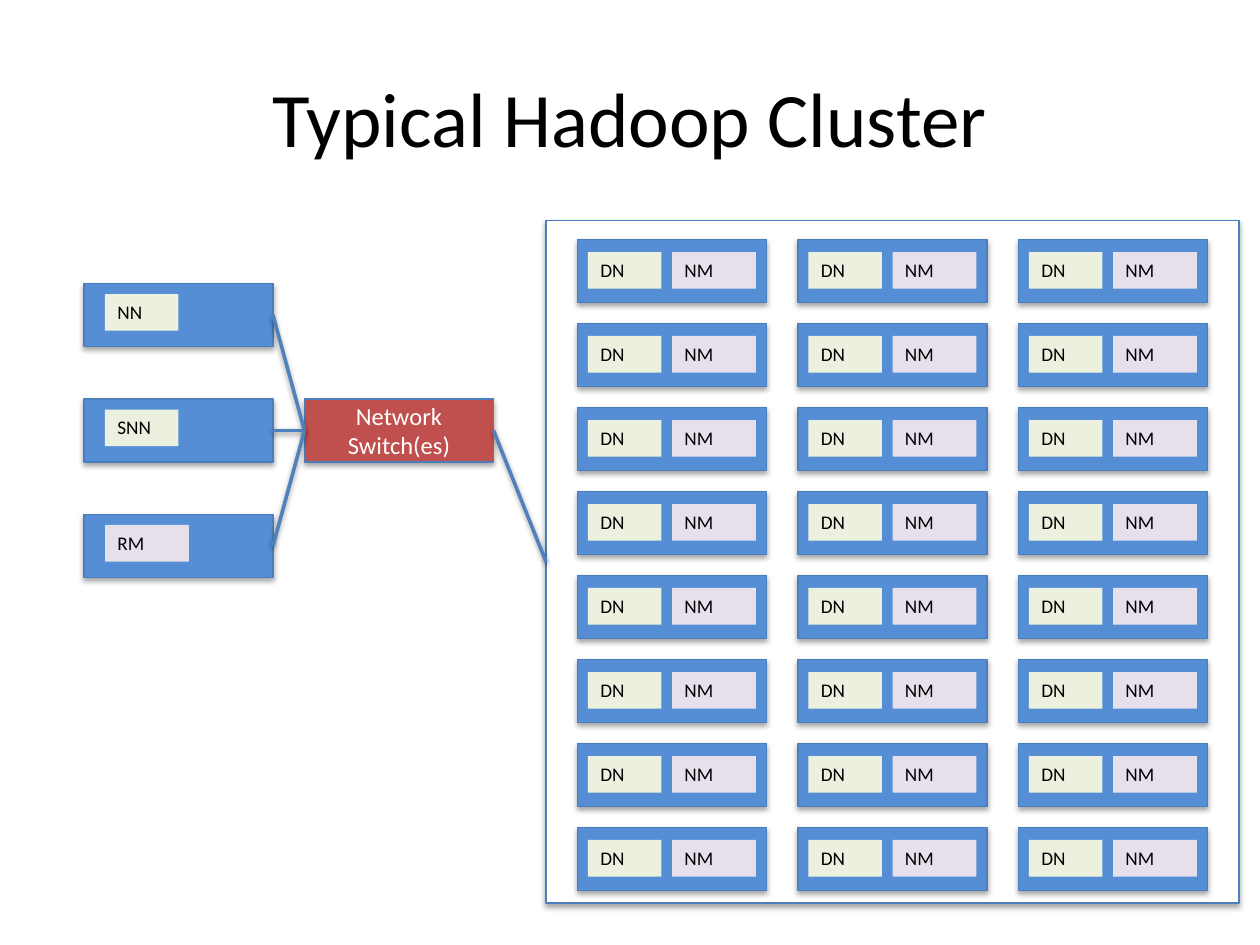
import pptx
import pptx.dml.color
import pptx.enum.shapes
import pptx.enum.text
import pptx.oxml
import pptx.oxml.ns
import pptx.util

Pt = pptx.util.Pt
ALIGN = pptx.enum.text.PP_ALIGN
ANCHOR = pptx.enum.text.MSO_ANCHOR

# Content
TITLE = "Typical Hadoop Cluster"
SWITCH = "Network Switch(es)"
MASTERS = [("NN", "storage"), ("SNN", "storage"), ("RM", "compute")]
WORKER_TAGS = [("DN", "storage", 6), ("NM", "compute", 54)]  # label, kind, offset
WORKER_ROWS, WORKER_COLUMNS = 8, 3

THEME = {
    "font": "Calibri", "title_size": 44, "switch_size": 14, "tag_size": 11,
    "text": "000000", "switch_text": "FFFFFF",
    "server": "558ED5", "switch": "C0504D", "rack": "FFFFFF",
    "storage": "EBF1DE", "compute": "E6E0EC",
    "outline": "4B7EBC", "link": "4F81BD",
    "outline_width": 0.75, "link_width": 2,
}

# Layout in points
TITLE_BOX = (36, 21.6, 648, 90)
RACK_BOX = (312, 126, 396, 390)
SERVER_SIZE = (108, 36)
MASTER_LEFT, MASTER_TOP, MASTER_STEP = 48, 162, 66
SWITCH_LEFT = 174
WORKER_LEFT, WORKER_TOP = 330, 136.8
WORKER_STEP_X, WORKER_STEP_Y = 126, 48
TAG_WIDTH = {"storage": 42, "compute": 48}
TAG_HEIGHT = 21
MASTER_TAG_OFFSET = (12, 6)
WORKER_TAG_TOP = 7.2
LEFT_SITE, RIGHT_SITE = 1, 3


def color(name):
    return pptx.dml.color.RGBColor.from_string(THEME[name])


def add_shadow(shape, distance, opacity):
    """Soft black shadow straight below; distance in EMU, opacity in percent."""
    properties = shape._element.spPr
    for effects in properties.findall(pptx.oxml.ns.qn("a:effectLst")):
        properties.remove(effects)
    properties.append(pptx.oxml.parse_xml(
        f'<a:effectLst {pptx.oxml.ns.nsdecls("a")}>'
        f'<a:outerShdw blurRad="40000" dist="{distance}" dir="5400000" rotWithShape="0">'
        f'<a:srgbClr val="000000"><a:alpha val="{opacity * 1000}"/></a:srgbClr>'
        '</a:outerShdw></a:effectLst>'))


def write(shape, text, size, text_color, alignment, **frame_format):
    frame = shape.text_frame
    for name, value in {"word_wrap": True, **frame_format}.items():
        setattr(frame, name, value)
    paragraph = frame.paragraphs[0]
    paragraph.text = text
    paragraph.alignment = alignment
    font_format = {"name": THEME["font"], "size": Pt(THEME[size])}
    for name, value in font_format.items():
        setattr(paragraph.font, name, value)
    paragraph.font.color.rgb = color(text_color)


def add_rectangle(shapes, box, fill):
    shape = shapes.add_shape(pptx.enum.shapes.MSO_SHAPE.RECTANGLE, *map(Pt, box))
    shape.shadow.inherit = False
    shape.fill.solid()
    shape.fill.fore_color.rgb = color(fill)
    shape.line.fill.background()
    return shape


def add_box(shapes, box, fill):
    shape = add_rectangle(shapes, box, fill)
    shape.line.color.rgb = color("outline")
    shape.line.width = Pt(THEME["outline_width"])
    add_shadow(shape, 23000, 35)
    return shape


def add_tag(shapes, label, kind, left, top):
    tag = add_rectangle(shapes, (left, top, TAG_WIDTH[kind], TAG_HEIGHT), kind)
    write(tag, label, "tag_size", "text", ALIGN.LEFT, vertical_anchor=ANCHOR.TOP,
          auto_size=pptx.enum.text.MSO_AUTO_SIZE.SHAPE_TO_FIT_TEXT)


def add_link(shapes, source, target):
    link = shapes.add_connector(pptx.enum.shapes.MSO_CONNECTOR.STRAIGHT, 0, 0, 0, 0)
    link.begin_connect(source, RIGHT_SITE)
    link.end_connect(target, LEFT_SITE)
    link.line.color.rgb = color("link")
    link.line.width = Pt(THEME["link_width"])
    add_shadow(link, 20000, 38)


def main():
    presentation = pptx.Presentation()
    presentation.slide_width, presentation.slide_height = Pt(720), Pt(540)
    slide = presentation.slides.add_slide(presentation.slide_layouts[6])
    shapes = slide.shapes

    # Title
    title = shapes.add_textbox(*map(Pt, TITLE_BOX))
    write(title, TITLE, "title_size", "text", ALIGN.CENTER, vertical_anchor=ANCHOR.MIDDLE)

    # Master servers
    masters = []
    for index, (label, kind) in enumerate(MASTERS):
        top = MASTER_TOP + index * MASTER_STEP
        masters.append(add_box(shapes, (MASTER_LEFT, top, *SERVER_SIZE), "server"))
        offset_x, offset_y = MASTER_TAG_OFFSET
        add_tag(shapes, label, kind, MASTER_LEFT + offset_x, top + offset_y)

    # Network switch, level with the middle master
    switch = add_box(shapes, (SWITCH_LEFT, MASTER_TOP + MASTER_STEP, *SERVER_SIZE), "switch")
    write(switch, SWITCH, "switch_size", "switch_text", ALIGN.CENTER,
          vertical_anchor=ANCHOR.MIDDLE)

    # Rack of worker servers
    rack_group = shapes.add_group_shape()
    rack = add_box(rack_group.shapes, RACK_BOX, "rack")
    for row in range(WORKER_ROWS):
        for column in range(WORKER_COLUMNS):
            left = WORKER_LEFT + column * WORKER_STEP_X
            top = WORKER_TOP + row * WORKER_STEP_Y
            add_box(rack_group.shapes, (left, top, *SERVER_SIZE), "server")
            for label, kind, offset in WORKER_TAGS:
                add_tag(shapes, label, kind, left + offset, top + WORKER_TAG_TOP)

    # Network links
    for master in masters:
        add_link(shapes, master, switch)
    add_link(shapes, switch, rack)

    presentation.save("out.pptx")


if __name__ == "__main__":
    main()
